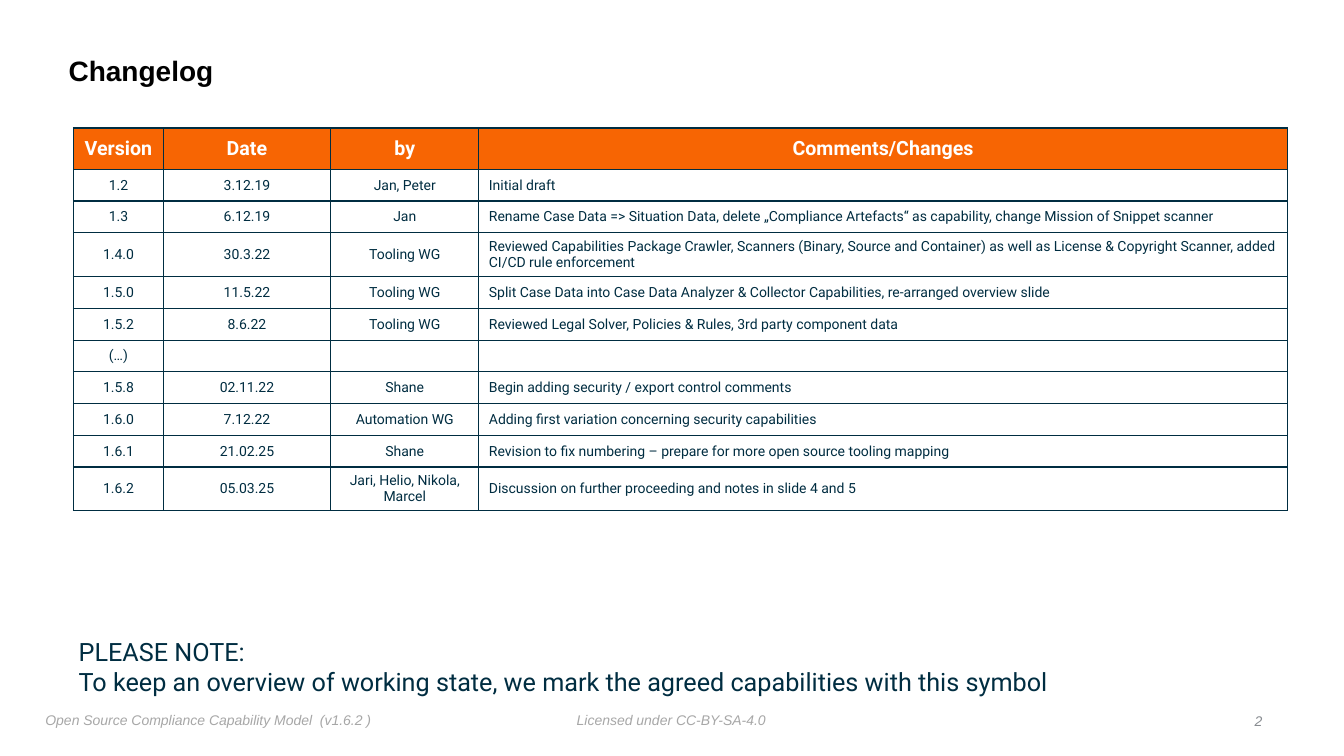
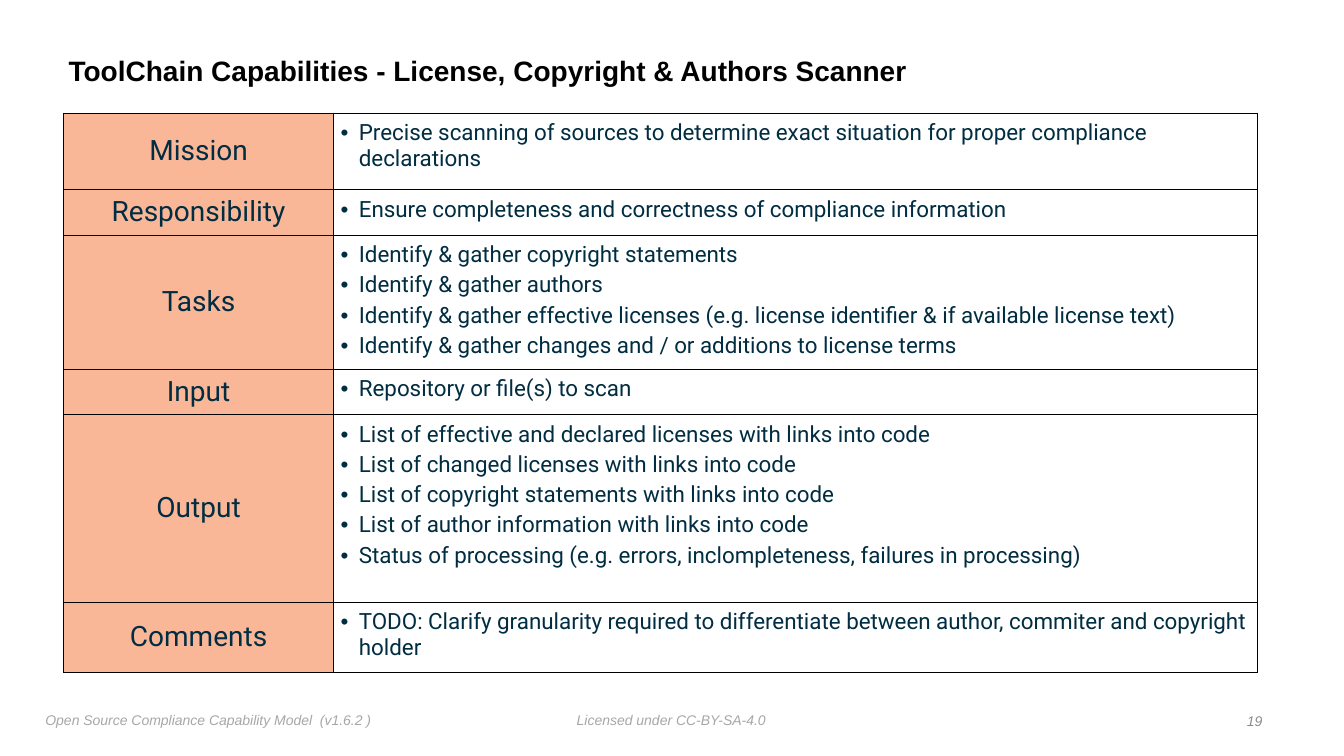
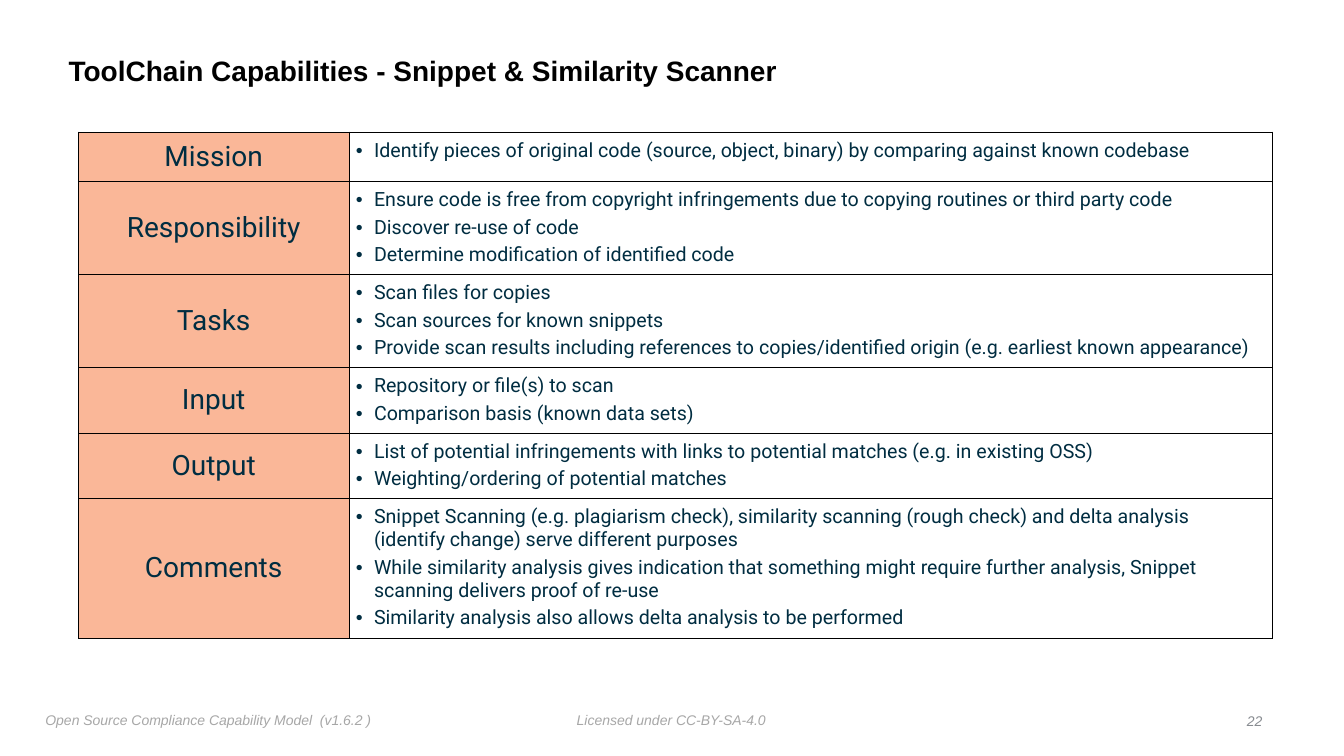
from lxml.etree import SubElement
from pptx import Presentation
from pptx.dml.color import RGBColor
from pptx.enum.text import MSO_ANCHOR as Anchor, MSO_AUTO_SIZE as AutoSize, PP_ALIGN as Align
from pptx.oxml import parse_xml
from pptx.oxml.ns import nsdecls, qn
from pptx.util import Inches, Pt


class Theme:
    NAVY = "002D41"
    BLACK = "000000"
    ORANGE = "F76503"
    PEACH = "FAB798"
    TITLE = {"name": "Arial", "size": Pt(20), "bold": True, "color": BLACK}
    FOOTER = {"name": "Arial", "size": Pt(10), "italic": True, "color": "A7A7A7"}
    PAGE = {**FOOTER, "color": "888C91"}
    BODY = {"name": "Roboto", "size": Pt(10), "bold": False, "color": NAVY}
    NOTE = {**BODY, "size": Pt(18)}
    LABEL = {**BODY, "size": Pt(20)}
    HEADER = {**BODY, "size": Pt(14), "bold": True, "color": "FFFFFF"}
    PLAIN_TABLE = "{2D5ABB26-0587-4C30-8999-92F81FD0307C}"


FOOTERS = [
    ("Licensed under CC-BY-SA-4.0", (5.67, 7.01, 1.99, 0.25)),
    ("Open Source Compliance Capability Model  (v1.6.2 )", (0.4, 7.01, 3.41, 0.27)),
]
CHANGELOG = [
    ("Version", "Date", "by", "Comments/Changes"),
    ("1.2", "3.12.19", "Jan, Peter", "Initial draft"),
    ("1.3", "6.12.19", "Jan",
     "Rename Case Data => Situation Data, delete „Compliance Artefacts“ as capability, "
     "change Mission of Snippet scanner"),
    ("1.4.0", "30.3.22", "Tooling WG",
     "Reviewed Capabilities Package Crawler, Scanners (Binary, Source and Container) as well as "
     "License & Copyright Scanner, added CI/CD rule enforcement"),
    ("1.5.0", "11.5.22", "Tooling WG",
     "Split Case Data into Case Data Analyzer & Collector Capabilities, re-arranged overview slide"),
    ("1.5.2", "8.6.22", "Tooling WG",
     "Reviewed Legal Solver, Policies & Rules, 3rd party component data"),
    ("(…)", "", "", ""),
    ("1.5.8", "02.11.22", "Shane", "Begin adding security / export control comments"),
    ("1.6.0", "7.12.22", "Automation WG",
     "Adding first variation concerning security capabilities"),
    ("1.6.1", "21.02.25", "Shane",
     "Revision to fix numbering – prepare for more open source tooling mapping"),
    ("1.6.2", "05.03.25", "Jari, Helio, Nikola, Marcel",
     "Discussion on further proceeding and notes in slide 4 and 5"),
]
CHANGELOG_COLUMNS = [0.89, 1.66, 1.47, 8.02]
CHANGELOG_HEIGHT, HEADER_HEIGHT, TWO_LINE_HEIGHT = 3.79, 0.41, 0.43
TWO_LINE_VERSIONS = ("1.4.0", "1.6.2")
NOTE_LINES = [
    "PLEASE NOTE:",
    "To keep an overview of working state, we mark the agreed capabilities with this symbol",
]

CAPABILITY_COLUMNS = [2.68, 9.16]
CAPABILITIES = [
    {
        "title": "ToolChain Capabilities - License, Copyright & Authors Scanner",
        "page": 19, "corner": (0.63, 1.12), "size": 16,
        "rows": [
            ("Mission", 0.76, [
                "Precise scanning of sources to determine exact situation for proper compliance "
                "declarations"]),
            ("Responsibility", 0.45, [
                "Ensure completeness and correctness of compliance information"]),
            ("Tasks", 1.3, [
                "Identify & gather copyright statements",
                "Identify & gather authors",
                "Identify & gather effective licenses (e.g. license identifier & if available "
                "license text)",
                "Identify & gather changes and / or additions to license terms"]),
            ("Input", 0.45, ["Repository or file(s) to scan"]),
            ("Output", 1.86, [
                "List of effective and declared licenses with links into code",
                "List of changed licenses with links into code",
                "List of copyright statements with links into code",
                "List of author information with links into code",
                "Status of processing (e.g. errors, inclompleteness, failures in processing)"]),
            ("Comments", 0.7, [
                "TODO: Clarify granularity required to differentiate between author, commiter and "
                "copyright holder"]),
        ],
    },
    {
        "title": "ToolChain Capabilities - Snippet & Similarity Scanner",
        "page": 22, "corner": (0.78, 1.31), "size": 14,
        "rows": [
            ("Mission", 0.49, [
                "Identify pieces of original code (source, object, binary) by comparing against "
                "known codebase"]),
            ("Responsibility", 0.91, [
                "Ensure code is free from copyright infringements due to copying routines or third "
                "party code",
                "Discover re-use of code",
                "Determine modification of identified code"]),
            ("Tasks", 0.91, [
                "Scan files for copies",
                "Scan sources for known snippets",
                "Provide scan results including references to copies/identified origin (e.g. "
                "earliest known appearance)"]),
            ("Input", 0.64, [
                "Repository or file(s) to scan",
                "Comparison basis (known data sets)"]),
            ("Output", 0.64, [
                "List of potential infringements with links to potential matches (e.g. in existing "
                "OSS)",
                "Weighting/ordering of potential matches"]),
            ("Comments", 1.37, [
                "Snippet Scanning (e.g. plagiarism check), similarity scanning (rough check) and "
                "delta analysis (identify change) serve different purposes",
                "While similarity analysis gives indication that something might require further "
                "analysis, Snippet scanning delivers proof of re-use",
                "Similarity analysis also allows delta analysis to be performed"]),
        ],
    },
]


def add_run(paragraph, text, style):
    run = paragraph.add_run()
    run.text = text
    for attribute, value in style.items():
        if attribute == "color":
            run.font.color.rgb = RGBColor.from_string(value)
        else:
            setattr(run.font, attribute, value)


def set_margins(target, horizontal, vertical):
    target.margin_left = target.margin_right = Inches(horizontal)
    target.margin_top = target.margin_bottom = Inches(vertical)


def add_text(slide, box, lines, style, wrap=False, anchor=Anchor.TOP, align=Align.LEFT):
    """Add one paragraph whose lines are parted by line breaks."""
    frame = slide.shapes.add_textbox(*map(Inches, box)).text_frame
    frame.word_wrap = wrap
    frame.auto_size = AutoSize.NONE if wrap else AutoSize.SHAPE_TO_FIT_TEXT
    frame.vertical_anchor = anchor
    set_margins(frame, 0.05, 0.05)
    paragraph = frame.paragraphs[0]
    paragraph.alignment = align
    for index, line in enumerate(lines):
        if index:
            paragraph.add_line_break()
        add_run(paragraph, line, style)
    return paragraph


def add_base_slide(presentation, title, page):
    slide = presentation.slides.add_slide(presentation.slide_layouts[6])
    for text, box in FOOTERS:
        add_text(slide, box, [text], Theme.FOOTER)
    heading = add_text(slide, (0.63, 0.39, 10.75, 0.65), [title], Theme.TITLE,
                       wrap=True, anchor=Anchor.MIDDLE)
    heading.line_spacing = 0.9
    add_text(slide, (12.3, 7.03, 0.27, 0.25), [str(page)], Theme.PAGE,
             anchor=Anchor.MIDDLE, align=Align.RIGHT)
    return slide


def add_plain_table(slide, corner, columns, heights):
    box = (*corner, sum(columns), sum(heights))
    frame = slide.shapes.add_table(len(heights), len(columns), *map(Inches, box))
    table = frame.table
    table.first_row = table.horz_banding = False
    table._tbl.tblPr.find(qn("a:tableStyleId")).text = Theme.PLAIN_TABLE
    for column, width in zip(table.columns, columns):
        column.width = Inches(width)
    for row, height in zip(table.rows, heights):
        row.height = Inches(height)
    return table


def dress_cell(cell, fill, line_color, line_width):
    if fill:
        cell.fill.solid()
        cell.fill.fore_color.rgb = RGBColor.from_string(fill)
    else:
        cell.fill.background()
    properties = cell._tc.get_or_add_tcPr()
    for index, edge in enumerate(("lnL", "lnR", "lnT", "lnB")):
        properties.insert(index, parse_xml(
            f'<a:{edge} {nsdecls("a")} w="{Pt(line_width)}"><a:solidFill>'
            f'<a:srgbClr val="{line_color}"/></a:solidFill></a:{edge}>'))


def fill_cell(cell, text, style, align):
    cell.vertical_anchor = Anchor.MIDDLE
    paragraph = cell.text_frame.paragraphs[0]
    paragraph.alignment = align
    if text:
        add_run(paragraph, text, style)
    else:
        SubElement(paragraph._p, qn("a:endParaRPr"), sz=str(int(style["size"].pt * 100)))


def fill_bullets(cell, items, style):
    set_margins(cell, 0.07, 0.07)
    frame = cell.text_frame
    for index, item in enumerate(items):
        paragraph = frame.add_paragraph() if index else frame.paragraphs[0]
        properties = paragraph._p.get_or_add_pPr()
        properties.set("marL", str(Inches(0.18)))
        properties.set("indent", str(-Inches(0.18)))
        SubElement(properties, qn("a:buFont"), typeface="Arial")
        SubElement(properties, qn("a:buChar"), char="•")
        if index:
            paragraph.space_before = Pt(3)
        add_run(paragraph, item, style)


def add_changelog(presentation):
    slide = add_base_slide(presentation, "Changelog", 2)
    two_line_count = len(TWO_LINE_VERSIONS)
    one_line_height = ((CHANGELOG_HEIGHT - HEADER_HEIGHT - two_line_count * TWO_LINE_HEIGHT)
                       / (len(CHANGELOG) - 1 - two_line_count))
    heights = [HEADER_HEIGHT] + [
        TWO_LINE_HEIGHT if row[0] in TWO_LINE_VERSIONS else one_line_height
        for row in CHANGELOG[1:]]
    table = add_plain_table(slide, (0.73, 1.27), CHANGELOG_COLUMNS, heights)
    for row_index, row in enumerate(CHANGELOG):
        is_header = row_index == 0
        for column_index, text in enumerate(row):
            is_comment = column_index == len(row) - 1 and not is_header
            cell = table.cell(row_index, column_index)
            fill_cell(cell, text, Theme.HEADER if is_header else Theme.BODY,
                      Align.LEFT if is_comment else Align.CENTER)
            dress_cell(cell, Theme.ORANGE if is_header else None, Theme.NAVY, 1)
    add_text(slide, (0.73, 6.26, 9.92, 0.71), NOTE_LINES, Theme.NOTE)


def add_capability(presentation, capability):
    slide = add_base_slide(presentation, capability["title"], capability["page"])
    rows = capability["rows"]
    table = add_plain_table(slide, capability["corner"], CAPABILITY_COLUMNS,
                            [height for _, height, _ in rows])
    bullet_style = {**Theme.BODY, "size": Pt(capability["size"])}
    for row_index, (label, _, items) in enumerate(rows):
        label_cell, bullet_cell = table.cell(row_index, 0), table.cell(row_index, 1)
        set_margins(label_cell, 0, 0)
        fill_cell(label_cell, label, Theme.LABEL, Align.CENTER)
        fill_bullets(bullet_cell, items, bullet_style)
        dress_cell(label_cell, Theme.PEACH, Theme.BLACK, 0.5)
        dress_cell(bullet_cell, None, Theme.BLACK, 0.5)


def main():
    presentation = Presentation()
    presentation.slide_width, presentation.slide_height = Inches(13.33), Inches(7.5)
    add_changelog(presentation)
    for capability in CAPABILITIES:
        add_capability(presentation, capability)
    presentation.save("out.pptx")


if __name__ == "__main__":
    main()
